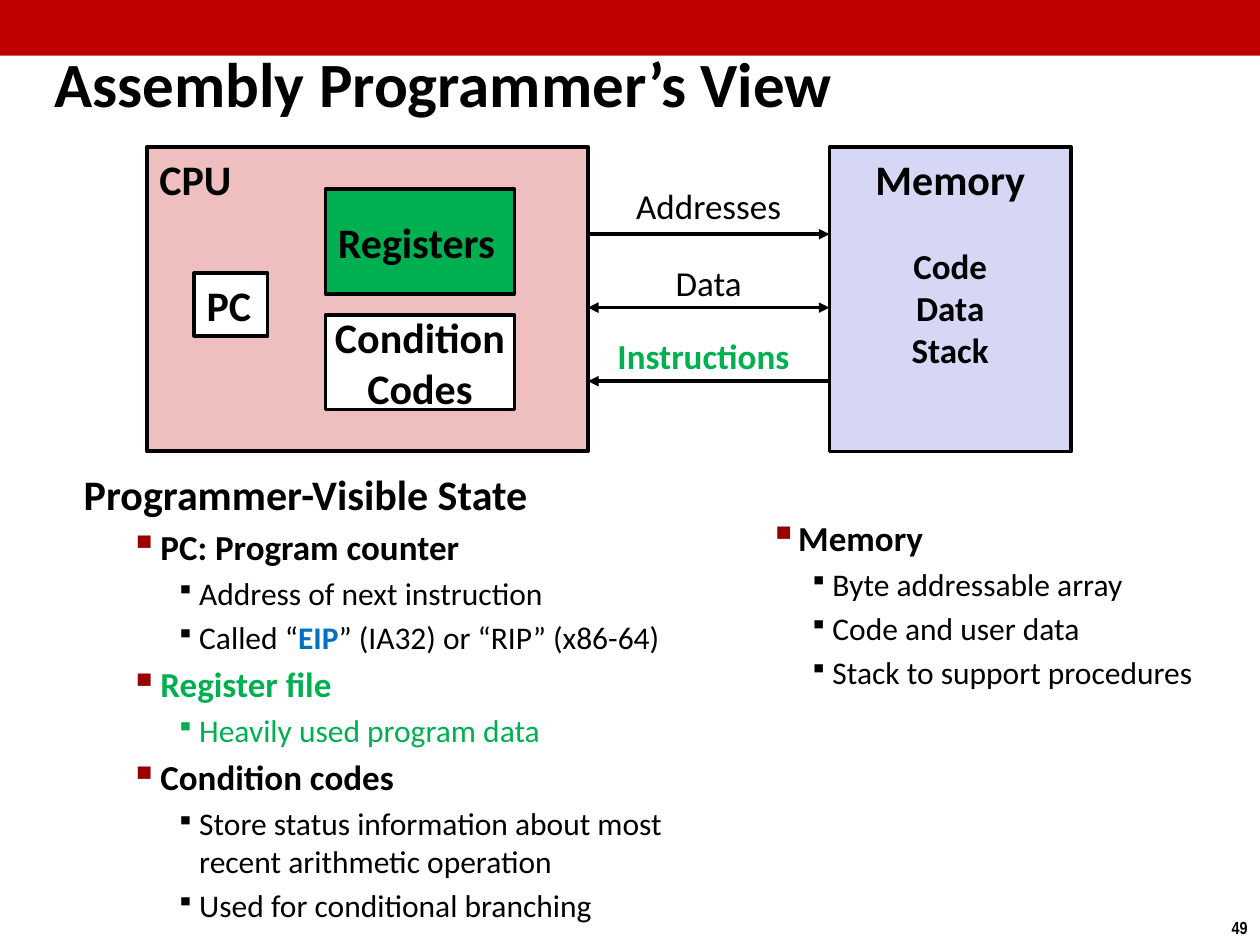
from dataclasses import dataclass

from lxml import etree
from pptx import Presentation
from pptx.dml.color import RGBColor
from pptx.enum.shapes import MSO_CONNECTOR, MSO_SHAPE
from pptx.enum.text import MSO_ANCHOR, PP_ALIGN
from pptx.oxml.ns import qn
from pptx.util import Pt

PX = 7620
RECT = MSO_SHAPE.RECTANGLE
LINE = MSO_CONNECTOR.STRAIGHT
LEFT, MID, RIGHT = PP_ALIGN.LEFT, PP_ALIGN.CENTER, PP_ALIGN.RIGHT
TOP, CENTER = MSO_ANCHOR.TOP, MSO_ANCHOR.MIDDLE


@dataclass(frozen=True)
class Theme:
    face: str = "Calibri"
    small: str = "Arial Narrow"
    ink: str = "000000"
    white: str = "FFFFFF"
    bar: str = "C00000"
    pink: str = "EFBFBF"
    lilac: str = "D6D6F5"
    green: str = "00B050"
    blue: str = "0070C0"
    mark: str = "990000"
    title: int = 36
    head: int = 24
    item: int = 20
    sub: int = 18
    page: int = 10


class Deck:
    def __init__(self, theme):
        self.theme = theme
        self.file = Presentation()
        self.file.slide_width = 1200 * PX
        self.file.slide_height = 900 * PX
        self.slide = self.file.slides.add_slide(self.file.slide_layouts[5])
        self.shapes = self.slide.shapes

    def style(self, font, size, color=None, bold=True, face=None):
        font.name = face or self.theme.face
        font.size = Pt(size)
        font.bold = bold
        font.color.rgb = RGBColor.from_string(color or self.theme.ink)

    def fill_text(self, frame, lines, size, align, anchor=TOP, wrap=True, **look):
        frame.word_wrap = wrap
        frame.vertical_anchor = anchor
        for i, line in enumerate(lines):
            para = frame.paragraphs[0] if i == 0 else frame.add_paragraph()
            para.text = line
            para.alignment = align
            self.style(para.font, size, **look)

    def title(self, text, x, y, w, h):
        box = self.shapes.title
        box.left, box.top, box.width, box.height = (v * PX for v in (x, y, w, h))
        self.fill_text(box.text_frame, [text], self.theme.title, LEFT, CENTER)

    def box(self, x, y, w, h, fill, lines=(), line=2, align=LEFT, anchor=CENTER, wrap=False):
        shape = self.shapes.add_shape(RECT, x * PX, y * PX, w * PX, h * PX)
        shape.shadow.inherit = False
        shape.fill.solid()
        shape.fill.fore_color.rgb = RGBColor.from_string(fill)
        if line:
            shape.line.color.rgb = RGBColor.from_string(self.theme.ink)
            shape.line.width = Pt(line)
        else:
            shape.line.fill.background()
        self.fill_text(shape.text_frame, lines, self.theme.head, align, anchor, wrap)

    def label(self, x, y, w, h, lines, size, align=MID, **look):
        box = self.shapes.add_textbox(x * PX, y * PX, w * PX, h * PX)
        self.fill_text(box.text_frame, lines, size, align, **look)

    def arrow(self, x, y, end, tips):
        link = self.shapes.add_connector(LINE, x * PX, y * PX, end * PX, y * PX)
        link.line.color.rgb = RGBColor.from_string(self.theme.ink)
        link.line.width = Pt(2)
        stroke = link.line._get_or_add_ln()
        for tip in tips:
            etree.SubElement(stroke, qn(f"a:{tip}"), type="triangle")
        etree.SubElement(link._element.spPr, qn("a:effectLst"))

    def bullet(self, para, color, scale, left, hang):
        props = para._p.get_or_add_pPr()
        props.set("marL", str(left * PX))
        props.set("indent", str(-hang * PX))
        tint = etree.SubElement(props, qn("a:buClr"))
        etree.SubElement(tint, qn("a:srgbClr"), val=color)
        etree.SubElement(props, qn("a:buSzPct"), val=str(scale * 1000))
        etree.SubElement(props, qn("a:buChar"), char="▪")

    def outline(self, x, y, w, h, rows, indents):
        theme = self.theme
        sizes = (theme.head, theme.item, theme.sub)
        frame = self.shapes.add_textbox(x * PX, y * PX, w * PX, h * PX).text_frame
        frame.word_wrap = True
        for i, (level, parts, color) in enumerate(rows):
            para = frame.paragraphs[0] if i == 0 else frame.add_paragraph()
            para.level = level
            para.space_before = Pt(sizes[level] * 0.2)
            if level:
                tint, scale = (theme.mark, 110) if level == 1 else (color, 80)
                self.bullet(para, tint, scale, *indents[level - 1])
            self.style(para.font, sizes[level], color, level < 2)
            for j, part in enumerate(parts):
                run = para.add_run()
                run.text = part
                if j % 2:
                    run.font.bold = True
                    run.font.color.rgb = RGBColor.from_string(theme.blue)


def main():
    t = Theme()
    deck = Deck(t)
    deck.box(0, 0, 1200, 53, t.bar, line=0)
    deck.title("Assembly Programmer’s View", 40, 40, 948, 76)

    deck.box(140, 140, 420, 290, t.pink, ["CPU"], line=2.25, anchor=TOP, wrap=True)
    deck.box(185, 260, 70, 60, t.white, ["PC"])
    deck.box(310, 180, 180, 100, t.green, ["Registers"])
    deck.box(310, 300, 180, 90, t.white, ["Condition", "Codes"], align=MID)
    deck.box(790, 140, 230, 290, t.lilac, ["Memory"], align=MID, anchor=TOP)
    deck.label(830, 227, 150, 133, ["Code", "Data", "Stack"], t.item)

    flows = [
        ("Addresses", 170, 230, t.ink, False, ["tailEnd"]),
        ("Data", 243, 230, t.ink, False, ["headEnd", "tailEnd"]),
        ("Instructions", 313, 220, t.green, True, ["headEnd"]),
    ]
    for i, (name, y, w, color, bold, tips) in enumerate(flows):
        deck.arrow(560, 223 + 70 * i, 790, tips)
        deck.label(560, y, w, 52, [name], t.item, color=color, bold=bold)

    state = [
        (0, ["Programmer-Visible State"], t.ink),
        (1, ["PC: Program counter"], t.ink),
        (2, ["Address of next instruction"], t.ink),
        (2, ["Called “", "EIP", "” (IA32) or “RIP” (x86-64)"], t.ink),
        (1, ["Register file"], t.green),
        (2, ["Heavily used program data"], t.green),
        (1, ["Condition codes"], t.ink),
        (2, ["Store status information about most recent arithmetic operation"], t.ink),
        (2, ["Used for conditional branching"], t.ink),
    ]
    deck.outline(68, 440, 607, 406, state, [(73, 29), (110, 22)])

    memory = [
        (1, ["Memory"], t.ink),
        (2, ["Byte addressable array"], t.ink),
        (2, ["Code and user data"], t.ink),
        (2, ["Stack to support procedures"], t.ink),
    ]
    deck.outline(706, 486, 475, 206, memory, [(38, 23), (75, 22)])

    deck.label(1159, 867, 41, 32, ["49"], t.page, RIGHT, wrap=False, face=t.small)
    deck.file.save("out.pptx")


if __name__ == "__main__":
    main()
